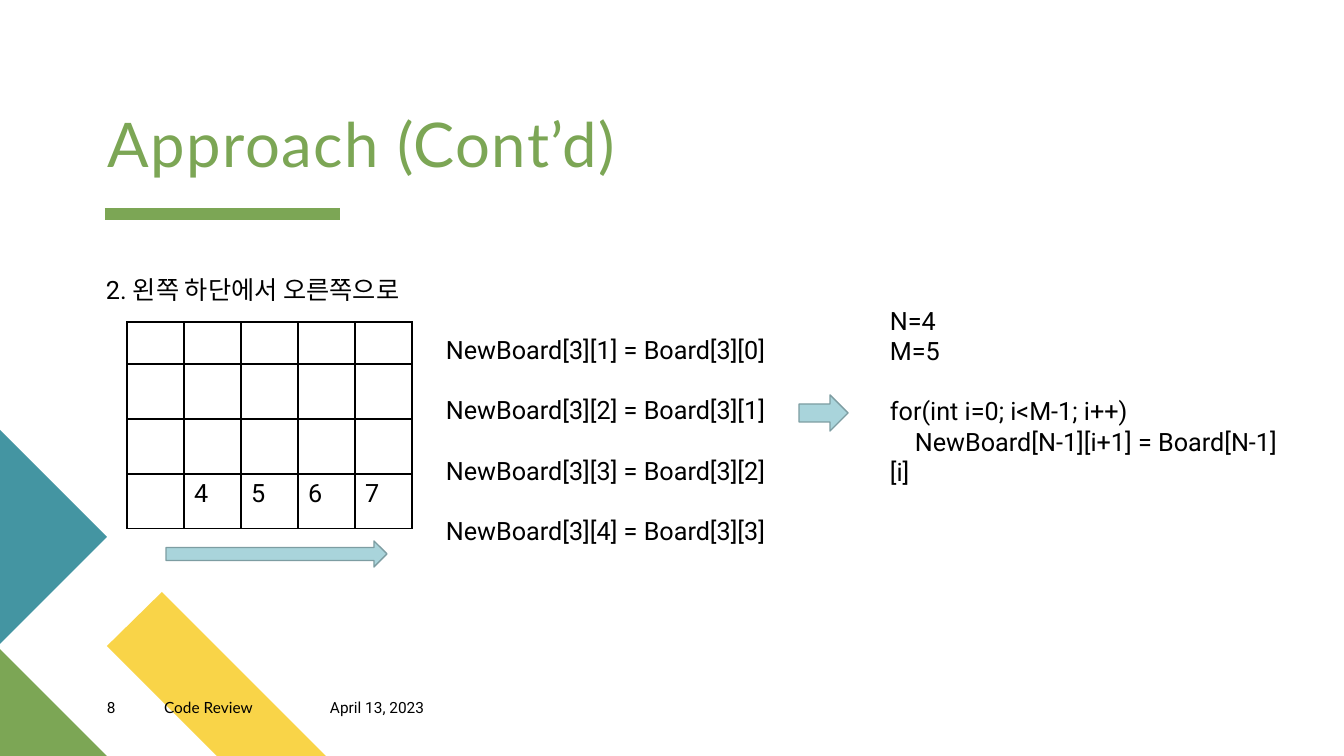
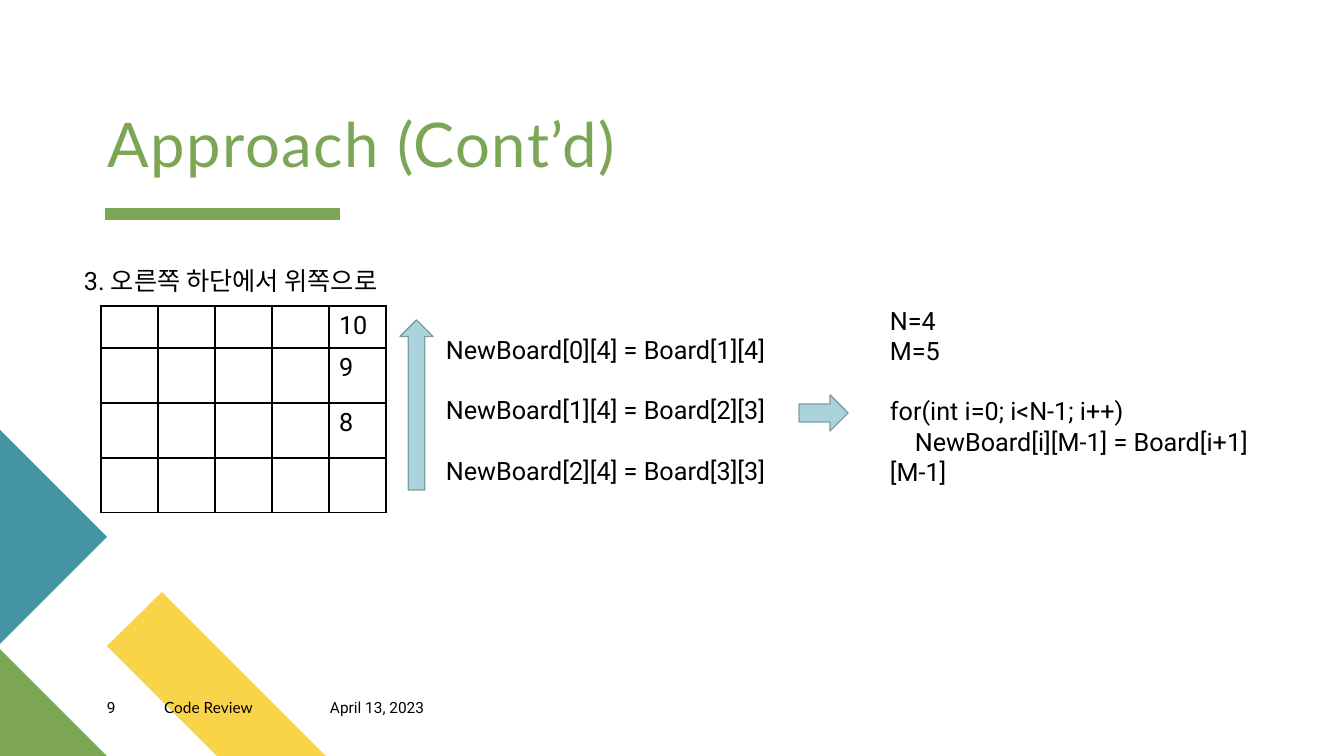
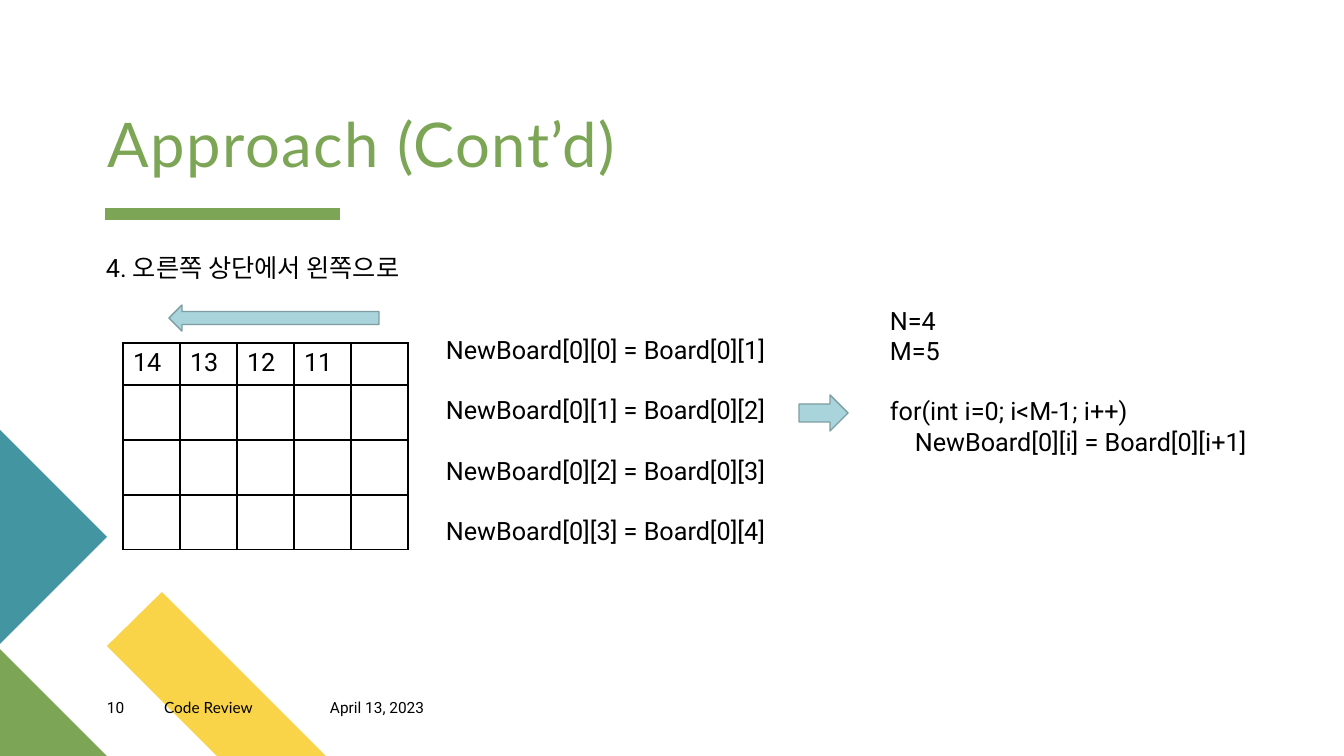
"""Build three code review slides on rotating the border of a board."""
from dataclasses import dataclass

from lxml import etree
from pptx import Presentation
from pptx.dml.color import RGBColor
from pptx.enum.shapes import MSO_CONNECTOR, MSO_SHAPE
from pptx.enum.text import MSO_ANCHOR
from pptx.oxml.ns import qn
from pptx.util import Pt

STRAIGHT = MSO_CONNECTOR.STRAIGHT
RIGHT_ARROW = MSO_SHAPE.RIGHT_ARROW
LEFT_ARROW = MSO_SHAPE.LEFT_ARROW
UP_ARROW = MSO_SHAPE.UP_ARROW
TOP = MSO_ANCHOR.TOP
BOTTOM = MSO_ANCHOR.BOTTOM

BLACK = RGBColor(0x00, 0x00, 0x00)
GREEN = RGBColor(0x7C, 0xA6, 0x55)
YELLOW = RGBColor(0xF9, 0xD4, 0x48)
TEAL = RGBColor(0x44, 0x95, 0xA2)
ARROW_FILL = RGBColor(0xA9, 0xD4, 0xDB)
ARROW_LINE = RGBColor(0x7D, 0x9D, 0xA2)

HEAD_FONT = "Lato"
BODY_FONT = "Roboto"
BODY_SIZE = 18
BLANK_LINE = Pt(21.6)

PAGE_WIDTH, PAGE_HEIGHT = 1344, 756
EMU_PER_PX = 12192000 / PAGE_WIDTH

CORNER_SHAPES = (
    (YELLOW, ((326, 756), (217, 756), (107, 646), (162, 592))),
    (GREEN, ((0, 649), (107, 756), (0, 756))),
    (TEAL, ((0, 430), (107, 537), (0, 644))),
)
COLUMN_COUNT, COLUMN_WIDTH = 5, 57
ROW_HEIGHTS = (42, 55, 55, 55)
CODE_INDENT = 25


@dataclass
class Step:
    """Hold the content of one step of the rotation."""

    number: int
    heading: str
    heading_at: tuple
    board_at: tuple
    values: dict
    arrow: int
    arrow_box: tuple
    assignments: tuple
    code: tuple


STEPS = (
    Step(8, "2. 왼쪽 하단에서 오른쪽으로", (96, 269), (127, 322),
         {(3, 1): "4", (3, 2): "5", (3, 3): "6", (3, 4): "7"},
         RIGHT_ARROW, (166, 541, 221, 26),
         ("NewBoard[3][1] = Board[3][0]", "NewBoard[3][2] = Board[3][1]",
          "NewBoard[3][3] = Board[3][2]", "NewBoard[3][4] = Board[3][3]"),
         ("for(int i=0; i<M-1; i++)", "NewBoard[N-1][i+1] = Board[N-1][i]")),
    Step(9, "3. 오른쪽 하단에서 위쪽으로", (74, 260), (101, 306),
         {(0, 4): "10", (1, 4): "9", (2, 4): "8"},
         UP_ARROW, (400, 320, 33, 170),
         ("NewBoard[0][4] = Board[1][4]", "NewBoard[1][4] = Board[2][3]",
          "NewBoard[2][4] = Board[3][3]"),
         ("for(int i=0; i<N-1; i++)", "NewBoard[i][M-1] = Board[i+1][M-1]")),
    Step(10, "4. 오른쪽 상단에서 왼쪽으로", (96, 247), (123, 343),
         {(0, 0): "14", (0, 1): "13", (0, 2): "12", (0, 3): "11"},
         LEFT_ARROW, (169, 305, 210, 26),
         ("NewBoard[0][0] = Board[0][1]", "NewBoard[0][1] = Board[0][2]",
          "NewBoard[0][2] = Board[0][3]", "NewBoard[0][3] = Board[0][4]"),
         ("for(int i=0; i<M-1; i++)", "NewBoard[0][i] = Board[0][i+1]")),
)


def px(length):
    """Turn pixels into EMU."""
    return round(length * EMU_PER_PX)


def style(para, size=BODY_SIZE, font=BODY_FONT, color=BLACK):
    """Set the font of a whole paragraph."""
    para.font.size = Pt(size)
    para.font.name = font
    para.font.color.rgb = color


def add_text(page, box, lines, inset=True, anchor=TOP, **look):
    """Add a text box with one paragraph a line and return its paragraphs."""
    frame = page.shapes.add_textbox(*map(px, box)).text_frame
    frame.word_wrap = True
    frame.vertical_anchor = anchor
    if not inset:
        frame.margin_left = frame.margin_right = 0
        frame.margin_top = frame.margin_bottom = 0
    frame.text = "\n".join(lines)
    for para in frame.paragraphs:
        style(para, **look)
    return frame.paragraphs


def add_corner(page):
    """Draw the coloured shapes in the lower left corner."""
    for color, points in CORNER_SHAPES:
        outline = page.shapes.build_freeform(*points[0], scale=EMU_PER_PX)
        outline.add_line_segments(points[1:])
        shape = outline.convert_to_shape()
        shape.shadow.inherit = False
        shape.fill.solid()
        shape.fill.fore_color.rgb = color
        shape.line.fill.background()


def add_title(page, box):
    """Add the title with the thick rule under it."""
    left, top, _, height = box
    para = add_text(page, box, ["Approach (Cont’d)"], inset=False,
                    anchor=BOTTOM, size=44, font=HEAD_FONT, color=GREEN)[0]
    para.line_spacing = 0.9
    para.runs[0].font._element.set("spc", "100")
    rule_top = px(top + height + 33)
    rule = page.shapes.add_connector(
        STRAIGHT, px(left - 3), rule_top, px(left + 232), rule_top)
    rule.line.color.rgb = GREEN
    rule.line.width = Pt(8)
    etree.SubElement(rule._element.spPr, qn("a:effectLst"))


def add_footer(page, left, top, number):
    """Add the page number, the deck name and the date side by side."""
    for text, width, font in ((str(number), 57, BODY_FONT),
                              ("Code Review", 166, HEAD_FONT),
                              ("April 13, 2023", 145, BODY_FONT)):
        add_text(page, (left, top, width, 27), [text], inset=False,
                 size=11, font=font)
        left += width


def add_arrow(page, kind, box):
    """Add a pale block arrow."""
    arrow = page.shapes.add_shape(kind, *map(px, box))
    arrow.shadow.inherit = False
    arrow.fill.solid()
    arrow.fill.fore_color.rgb = ARROW_FILL
    arrow.line.color.rgb = ARROW_LINE
    arrow.line.width = Pt(1)


def add_borders(cell):
    """Give a cell thin black borders on all sides."""
    properties = cell._tc.get_or_add_tcPr()
    for side in ("a:lnL", "a:lnR", "a:lnT", "a:lnB"):
        line = etree.SubElement(properties, qn(side), w=str(Pt(1)))
        fill = etree.SubElement(line, qn("a:solidFill"))
        etree.SubElement(fill, qn("a:srgbClr"), val=str(BLACK))


def add_board(page, left, top, values):
    """Add the board as a table holding the given values."""
    board = page.shapes.add_table(
        len(ROW_HEIGHTS), COLUMN_COUNT, px(left), px(top),
        px(COLUMN_COUNT * COLUMN_WIDTH), px(sum(ROW_HEIGHTS))).table
    board.first_row = board.horz_banding = False
    for column in board.columns:
        column.width = px(COLUMN_WIDTH)
    for row_index, height in enumerate(ROW_HEIGHTS):
        board.rows[row_index].height = px(height)
        for column_index in range(COLUMN_COUNT):
            cell = board.cell(row_index, column_index)
            add_borders(cell)
            cell.fill.background()
            cell.text = values.get((row_index, column_index), "")
            style(cell.text_frame.paragraphs[0])


def add_assignments(page, box, lines):
    """List the assignments with one line of space between them."""
    for para in add_text(page, box, lines)[:-1]:
        para.space_after = BLANK_LINE


def add_code(page, box, loop):
    """Show the sizes and, one line below, the loop with an indented body."""
    paras = add_text(page, box, ("N=4", "M=5", *loop))
    paras[1].space_after = BLANK_LINE
    properties = paras[-1]._p.get_or_add_pPr()
    properties.set("marL", "0")
    properties.set("indent", str(px(CODE_INDENT)))


def add_step(deck, step):
    """Add the slide of one step."""
    page = deck.slides.add_slide(deck.slide_layouts[6])
    add_corner(page)
    add_title(page, (108, 113, 544, 68))
    add_footer(page, 107, 698, step.number)
    add_text(page, (*step.heading_at, 341, 40), [step.heading])
    add_board(page, *step.board_at, step.values)
    add_arrow(page, step.arrow, step.arrow_box)
    add_assignments(page, (436, 329, 341, 224), step.assignments)
    add_arrow(page, RIGHT_ARROW, (799, 395, 49, 36))
    add_code(page, (880, 300, 420, 163), step.code)


def main():
    """Build and save the deck."""
    deck = Presentation()
    deck.slide_width = px(PAGE_WIDTH)
    deck.slide_height = px(PAGE_HEIGHT)
    for step in STEPS:
        add_step(deck, step)
    deck.save("out.pptx")


if __name__ == "__main__":
    main()
